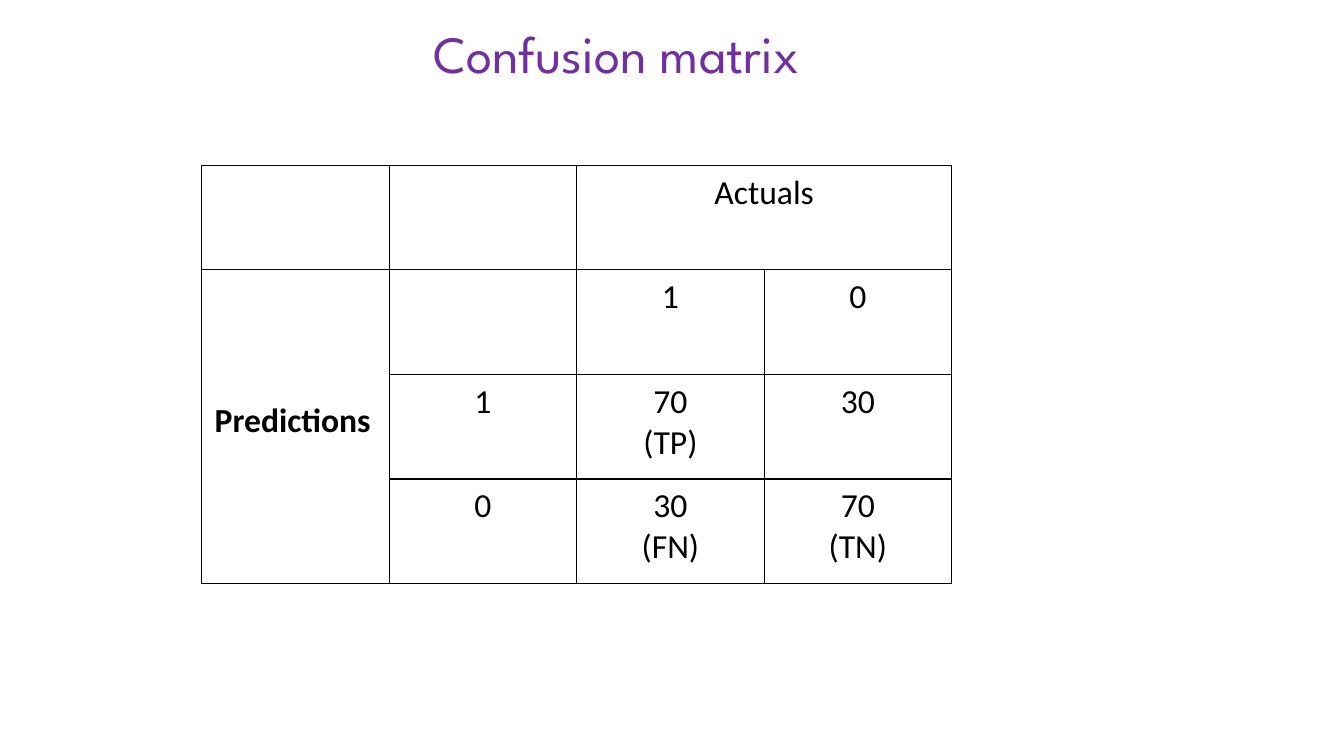
import pptx
import pptx.util
import pptx.dml.color
import pptx.enum.text
import pptx.oxml.ns
from lxml import etree

ALIGN = pptx.enum.text.PP_ALIGN
ANCHOR = pptx.enum.text.MSO_ANCHOR
INSETS = {"margin_left": 0.13, "margin_top": 0.07,
          "margin_right": 0.13, "margin_bottom": 0.07}


def set_all(obj, values):
    for name, value in values.items():
        setattr(obj, name, value)


class Slide:
    colors = {"title": "7030A0", "ink": "000000", "paper": "FFFFFF"}
    title_font = {"name": "League Spartan", "size": pptx.util.Pt(37.3)}
    body_font = {"name": "Calibri", "size": pptx.util.Pt(24), "bold": False}

    def __init__(self, prs):
        self.prs = prs
        self.s = prs.slides.add_slide(prs.slide_layouts[6])

    def box(self, left, top, width, height):
        """Turn percentages of the slide size into lengths."""
        w, h = self.prs.slide_width, self.prs.slide_height
        return [int(share * size / 100) for share, size in
                ((left, w), (top, h), (width, w), (height, h))]

    def rgb(self, color):
        return pptx.dml.color.RGBColor.from_string(self.colors[color])

    def add_text(self, tf, text, font, color, align=ALIGN.CENTER):
        for i, line in enumerate(text.split("\n")):
            p = tf.paragraphs[0] if i == 0 else tf.add_paragraph()
            p.alignment = align
            r = p.add_run()
            r.text = line
            set_all(r.font, font)
            r.font.color.rgb = self.rgb(color)

    def title(self, text, *share):
        tf = self.s.shapes.add_textbox(*self.box(*share)).text_frame
        set_all(tf, {"word_wrap": True, "vertical_anchor": ANCHOR.MIDDLE})
        set_all(tf, {k: pptx.util.Inches(v) for k, v in INSETS.items()})
        self.add_text(tf, text, self.title_font, "title")

    def border(self, cell):
        tc_pr = cell._tc.get_or_add_tcPr()
        for side in ("a:lnL", "a:lnR", "a:lnT", "a:lnB"):
            ln = etree.SubElement(tc_pr, pptx.oxml.ns.qn(side),
                                  w=str(int(pptx.util.Pt(1))))
            fill = etree.SubElement(ln, pptx.oxml.ns.qn("a:solidFill"))
            etree.SubElement(fill, pptx.oxml.ns.qn("a:srgbClr"),
                             val=self.colors["ink"])

    def table(self, rows, merges, *share):
        shape = self.s.shapes.add_table(len(rows), len(rows[0]), *self.box(*share))
        tbl = shape.table
        set_all(tbl, {"first_row": False, "horz_banding": False})
        for i, row in enumerate(rows):
            for j, text in enumerate(row):
                cell = tbl.cell(i, j)
                self.border(cell)
                cell.fill.solid()
                cell.fill.fore_color.rgb = self.rgb("paper")
                set_all(cell, {k: pptx.util.Inches(v) for k, v in INSETS.items()})
                if text:
                    self.add_text(cell.text_frame, text, self.body_font, "ink")
        for first, last in merges:
            tbl.cell(*first).merge(tbl.cell(*last))
        return tbl

    def row_heading(self, cell, text):
        """Bold heading set slightly above the middle of its cell."""
        set_all(cell, {"vertical_anchor": ANCHOR.MIDDLE,
                       "margin_bottom": pptx.util.Inches(0.19)})
        self.add_text(cell.text_frame, text, {**self.body_font, "bold": True},
                      "ink", ALIGN.JUSTIFY)


def main():
    prs = pptx.Presentation()
    prs.slide_width = pptx.util.Inches(13.33)
    prs.slide_height = pptx.util.Inches(7.5)
    slide = Slide(prs)
    tbl = slide.table(
        [["", "", "Actuals", ""],
         ["", "", "1", "0"],
         ["", "1", "70\n(TP)", "30"],
         ["", "0", "30\n(FN)", "70\n(TN)"]],
        [((0, 2), (0, 3)), ((1, 0), (3, 0))],
        15, 21.87, 55.81, 55.33)
    slide.row_heading(tbl.cell(1, 0), "Predictions")
    slide.title("Confusion matrix", 26.71, 2.53, 38.33, 8.93)
    prs.save("out.pptx")


if __name__ == "__main__":
    main()
